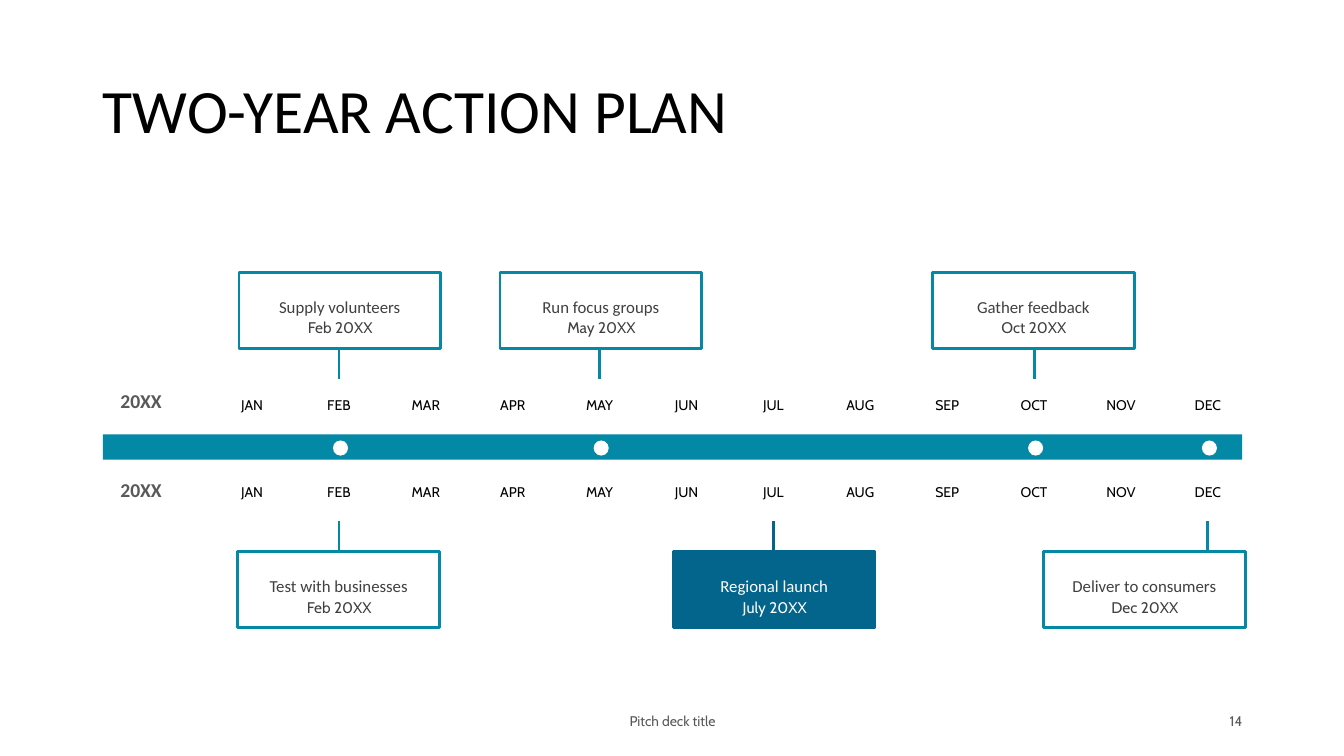
from lxml import etree
from pptx import Presentation
from pptx.dml.color import RGBColor
from pptx.enum import shapes, text
from pptx.oxml import ns
from pptx.util import Inches, Pt

TEAL, NAVY, WHITE, BLACK = "0388A6", "03658C", "FFFFFF", "000000"
DARK_GRAY, GRAY = "404040", "595959"
MONTHS = "JAN FEB MAR APR MAY JUN JUL AUG SEP OCT NOV DEC".split()
CENTER, LEFT, RIGHT = text.PP_ALIGN.CENTER, text.PP_ALIGN.LEFT, text.PP_ALIGN.RIGHT
TOP, MIDDLE = text.MSO_ANCHOR.TOP, text.MSO_ANCHOR.MIDDLE


def color(value):
    return RGBColor.from_string(value)


def write(shape, words, size, ink, font="Cabin", bold=False, align=CENTER,
          anchor=TOP, spacing=0.9, insets=(0.1, 0.05, 0.1, 0.05)):
    """Fill a shape with one formatted paragraph; insets run left, top, right, bottom."""
    frame = shape.text_frame
    frame.text = words
    frame.word_wrap = True
    frame.vertical_anchor = anchor
    (frame.margin_left, frame.margin_top,
     frame.margin_right, frame.margin_bottom) = map(Inches, insets)
    paragraph = frame.paragraphs[0]
    paragraph.alignment = align
    paragraph.line_spacing = spacing
    paragraph.font.size = Pt(size)
    paragraph.font.name = font
    paragraph.font.bold = bold
    paragraph.font.color.rgb = color(ink)


presentation = Presentation()
presentation.slide_width = Inches(13.33)
presentation.slide_height = Inches(7.5)
slide = presentation.slides.add_slide(presentation.slide_layouts[5])
items = slide.shapes

title = slide.shapes.title
title.left, title.top = Inches(0.92), Inches(0.4)
title.width, title.height = Inches(11.5), Inches(1.45)
write(title, "TWO-YEAR ACTION PLAN", 44, BLACK, "Calibri", align=LEFT, anchor=MIDDLE)

bar = items.add_shape(shapes.MSO_SHAPE.RECTANGLE, Inches(1.02), Inches(4.31),
                      Inches(11.3), Inches(0.25))
bar.shadow.inherit = False
bar.fill.solid()
bar.fill.fore_color.rgb = color(TEAL)
bar.line.fill.background()

# Month centers are evenly spaced from January to December
first_month, last_month = 2.5, 11.98
step = (last_month - first_month) / (len(MONTHS) - 1)
month_x = {month: first_month + step * index for index, month in enumerate(MONTHS)}

for year_top, month_top in ((3.74, 3.9), (4.62, 4.77)):
    year = items.add_textbox(Inches(1), Inches(year_top), Inches(0.8), Inches(0.5))
    write(year, "20XX", 14, GRAY, "Calibri", bold=True, anchor=MIDDLE)
    for month, x in month_x.items():
        label = items.add_textbox(Inches(x - 0.35), Inches(month_top),
                                  Inches(0.7), Inches(0.22))
        write(label, month, 10, BLACK)

for month in ("FEB", "MAY", "OCT", "DEC"):
    dot = items.add_shape(shapes.MSO_SHAPE.OVAL, Inches(month_x[month] - 0.06),
                          Inches(4.37), Inches(0.15), Inches(0.15))
    dot.shadow.inherit = False
    dot.fill.solid()
    dot.fill.fore_color.rgb = color(WHITE)
    dot.line.fill.background()

# Month, task, date, box left, box top, stem top, outline, fill, text color
milestones = [
    ("FEB", "Supply volunteers", "Feb 20XX", 2.37, 2.7, 3.46, TEAL, None, DARK_GRAY),
    ("MAY", "Run focus groups", "May 20XX", 4.96, 2.7, 3.46, TEAL, None, DARK_GRAY),
    ("OCT", "Gather feedback", "Oct 20XX", 9.25, 2.7, 3.46, TEAL, None, DARK_GRAY),
    ("FEB", "Test with businesses", "Feb 20XX", 2.36, 5.47, 5.17, TEAL, None, DARK_GRAY),
    ("JUL", "Regional launch", "July 20XX", 6.68, 5.47, 5.17, NAVY, NAVY, WHITE),
    ("DEC", "Deliver to consumers", "Dec 20XX", 10.35, 5.47, 5.17, TEAL, None, DARK_GRAY),
]
for month, task, date, left, top, stem_top, outline, fill, ink in milestones:
    x = Inches(month_x[month])
    stem = items.add_connector(shapes.MSO_CONNECTOR.STRAIGHT, x, Inches(stem_top),
                               x, Inches(stem_top + 0.3))
    stem.line.color.rgb = color(outline)
    stem.line.width = Pt(2)
    etree.SubElement(stem._element.spPr, ns.qn("a:effectLst"))

    box = items.add_shape(shapes.MSO_SHAPE.RECTANGLE, Inches(left), Inches(top),
                          Inches(2), Inches(0.76))
    box.shadow.inherit = False
    if fill:
        box.fill.solid()
        box.fill.fore_color.rgb = color(fill)
    else:
        box.fill.background()
    box.line.color.rgb = color(outline)
    box.line.width = Pt(2)
    write(box, task, 12, ink, "Calibri", spacing=2, insets=(0, 0.04, 0, 0))

    date_label = items.add_textbox(Inches(left + 0.08), Inches(top + 0.48),
                                   Inches(1.85), Inches(0.25))
    write(date_label, date, 11, ink, insets=(0, 0, 0, 0))

for words, left, width, align in (("Pitch deck title", 4.42, 4.5, CENTER),
                                  ("14", 9.42, 3, RIGHT)):
    footer = items.add_textbox(Inches(left), Inches(6.95), Inches(width), Inches(0.4))
    write(footer, words, 10, GRAY, align=align, anchor=MIDDLE, spacing=1.0)

presentation.save("out.pptx")
